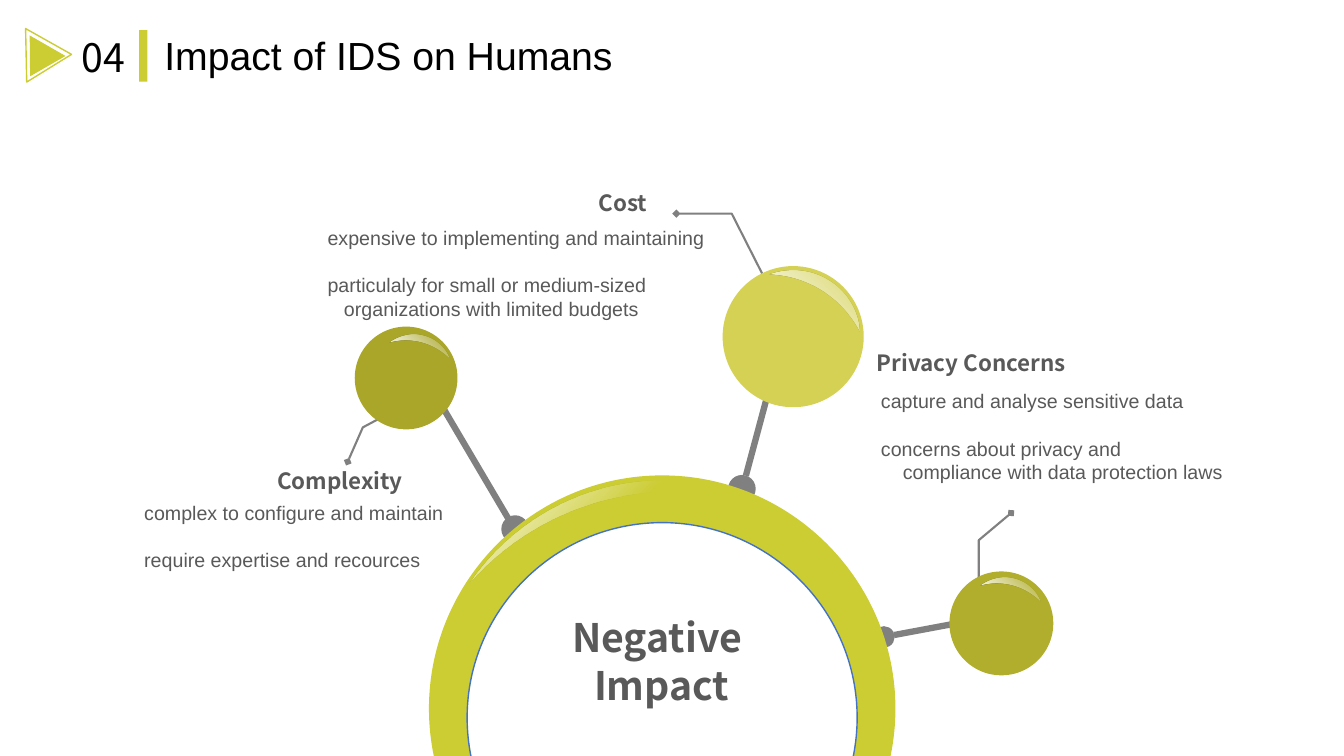
import math

import pptx
import pptx.dml.color
import pptx.enum.dml
import pptx.enum.shapes
import pptx.enum.text
import pptx.oxml
import pptx.oxml.ns
import pptx.util

Pt = pptx.util.Pt
RGBColor = pptx.dml.color.RGBColor
SHAPES = pptx.enum.shapes.MSO_SHAPE
ALIGN = pptx.enum.text.PP_ALIGN
qn = pptx.oxml.ns.qn

LIME = RGBColor(0xCC, 0xCC, 0x33)
PALE_LIME = RGBColor(0xD4, 0xD1, 0x54)
OLIVE = RGBColor(0xB1, 0xAE, 0x2D)
DARK_OLIVE = RGBColor(0xA9, 0xA6, 0x2A)
GRAY = RGBColor(0x80, 0x80, 0x80)
TEXT_GRAY = RGBColor(0x59, 0x59, 0x59)
BLUE = RGBColor(0x44, 0x72, 0xC4)
BLACK = RGBColor(0, 0, 0)
WHITE = RGBColor(0xFF, 0xFF, 0xFF)

SLIDE_WIDTH, SLIDE_HEIGHT = 960, 540
HEADING_FONT, BODY_FONT = "Noto Sans CJK SC", "Arial"
LINEAR = '<a:lin ang="2700000" scaled="0"/>'
RADIAL = '<a:path path="circle"><a:fillToRect t="100000" r="100000"/></a:path>'

# Each outline is a start point, then curves of three points or lines of one.
GLINT = [(17.3, 0),
         [(28.8, 0), (38.9, 7.2), (42.5, 17.3)],
         [(34.6, 9.4), (23.8, 4.3), (11.5, 4.3)],
         [(7.2, 4.3), (3.6, 5), (0, 5.8)],
         [(5, 2.2), (10.8, 0), (17.3, 0)]]
RING_GLINT = [(473.8, 343.4),
              [(506.2, 343.4), (537.1, 352.8), (562.3, 369.4)],
              [(537.8, 357.8), (510.5, 351.4), (481, 351.4)],
              [(423.4, 351.4), (370.8, 376.6), (335.5, 416.9)],
              [(365, 373), (416.2, 343.4), (473.8, 343.4)]]


def set_formats(target, formats):
    for attribute, value in formats.items():
        setattr(target, attribute, value)


def paint(shape, fill=None, line=None, weight=1):
    shape.shadow.inherit = False
    if fill is None:
        shape.fill.background()
    else:
        shape.fill.solid()
        shape.fill.fore_color.rgb = fill
    if line is None:
        shape.line.fill.background()
    else:
        shape.line.color.rgb = line
        shape.line.width = Pt(weight)


def add_preset(slide, preset, box, rotation=0, **colors):
    shape = slide.shapes.add_shape(preset, *map(Pt, box))
    shape.rotation = rotation
    paint(shape, **colors)


def add_outline(slide, start, *segments, close=False, **colors):
    points = [tuple(map(Pt, point)) for segment in segments for point in segment]
    builder = slide.shapes.build_freeform(*map(Pt, start))
    builder.add_line_segments(points, close=close)
    shape = builder.convert_to_shape()
    paint(shape, **colors)
    steps = iter(list(shape._element.iter(qn("a:lnTo"))))
    for segment in segments:
        group = [next(steps) for _ in segment]
        if len(segment) == 3:
            curve = pptx.oxml.parse_xml(f"<a:cubicBezTo {pptx.oxml.ns.nsdecls('a')}/>")
            group[0].addprevious(curve)
            for step in group:
                curve.append(step[0])
                step.getparent().remove(step)
    return shape


def add_dome(slide, center_x, center_y, radius, **colors):
    """Draw a circle cut off at the bottom edge of the slide."""
    drop = SLIDE_HEIGHT - center_y
    inset = radius - math.sqrt(radius ** 2 - drop ** 2)
    pull = 0.55 * radius
    left, right, top = center_x - radius, center_x + radius, center_y - radius
    low, high = SLIDE_HEIGHT - drop / 3, center_y + drop / 3
    add_outline(
        slide, (left + inset, SLIDE_HEIGHT),
        [(left + inset / 3, low), (left, high), (left, center_y)],
        [(left, center_y - pull), (center_x - pull, top), (center_x, top)],
        [(center_x + pull, top), (right, center_y - pull), (right, center_y)],
        [(right, high), (right - inset / 3, low), (right - inset, SLIDE_HEIGHT)],
        **colors)


def add_glint(slide, outline, solid_until, fade_until, direction):
    """Draw a highlight that fades from white to clear."""
    shape = add_outline(slide, *outline, close=True)
    shape._element.spPr.find(qn("a:noFill")).getparent().replace(
        shape._element.spPr.find(qn("a:noFill")),
        pptx.oxml.parse_xml(
            f'<a:gradFill {pptx.oxml.ns.nsdecls("a")} rotWithShape="1"><a:gsLst>'
            f'<a:gs pos="{solid_until * 1000}"><a:srgbClr val="{WHITE}"/></a:gs>'
            f'<a:gs pos="{fade_until * 1000}"><a:srgbClr val="{WHITE}">'
            f'<a:alpha val="0"/></a:srgbClr></a:gs></a:gsLst>{direction}</a:gradFill>'))
    return shape


def add_ball(slide, left, top, size, color, glint_at, glint_scale=1, rotation=0):
    add_preset(slide, SHAPES.OVAL, (left, top, size, size), fill=color)

    def place(point):
        return tuple(at + glint_scale * value for at, value in zip(glint_at, point))

    outline = [place(GLINT[0])] + [list(map(place, curve)) for curve in GLINT[1:]]
    add_glint(slide, outline, 6, 100, RADIAL).rotation = rotation


def add_stem(slide, *ends):
    stem = slide.shapes.add_connector(
        pptx.enum.shapes.MSO_CONNECTOR.STRAIGHT, *map(Pt, ends))
    stem.line.color.rgb = GRAY
    stem.line.width = Pt(4.5)
    stem._element.spPr.append(
        pptx.oxml.parse_xml(f"<a:effectLst {pptx.oxml.ns.nsdecls('a')}/>"))


def add_leader(slide, start, bend, end):
    leader = add_outline(slide, start, [bend], [end], line=GRAY, weight=1.5)
    for tip in ("headEnd", "tailEnd"):
        leader.line._get_or_add_ln().append(pptx.oxml.parse_xml(
            f'<a:{tip} {pptx.oxml.ns.nsdecls("a")} type="diamond"/>'))


def write(holder, box, lines, color, align=ALIGN.LEFT, gaps=(), indents=(), **font):
    """Fill a text holder; gaps and indents are given per line, in points."""
    for side, value in zip(("left", "top", "width", "height"), box):
        setattr(holder, side, Pt(value))
    frame = holder.text_frame
    set_formats(frame, {"word_wrap": True,
                        "auto_size": pptx.enum.text.MSO_AUTO_SIZE.NONE,
                        "vertical_anchor": pptx.enum.text.MSO_ANCHOR.TOP})
    frame.text = "\n".join(lines)
    for index, paragraph in enumerate(frame.paragraphs):
        set_formats(paragraph, {"alignment": align, "space_before": Pt(0)})
        if gaps:
            paragraph.space_before = Pt(gaps[index])
            properties = paragraph._p.get_or_add_pPr()
            properties.set("marL", str(Pt(indents[index])))
            properties.set("indent", "0")
            properties.append(pptx.oxml.parse_xml(
                f"<a:buNone {pptx.oxml.ns.nsdecls('a')}/>"))
        for run in paragraph.runs:
            set_formats(run.font, font)
            run.font.color.rgb = color


def add_label(slide, box, lines, color, size, **formats):
    holder = slide.shapes.add_textbox(*map(Pt, box))
    write(holder, box, lines, color, size=Pt(size), name=HEADING_FONT, **formats)


def main():
    deck = pptx.Presentation()
    deck.slide_width, deck.slide_height = Pt(SLIDE_WIDTH), Pt(SLIDE_HEIGHT)
    slide = deck.slides.add_slide(deck.slide_layouts.get_by_name("Comparison"))
    title, cost, complexity, privacy, spare = slide.placeholders
    spare._element.getparent().remove(spare._element)

    add_leader(slide, (722.2, 366.5), (699.1, 385.9), (699.1, 416.9))
    add_leader(slide, (547.9, 202.3), (522.7, 152.6), (483.1, 152.6))
    add_leader(slide, (279.4, 294.5), (259.2, 305.3), (248.4, 329.8))
    add_stem(slide, 638.6, 453.6, 684.7, 445)
    add_stem(slide, 532.8, 339.8, 549.4, 277.9)
    add_stem(slide, 362.9, 370.1, 313.2, 285.8)
    for left, top, size in ((624.2, 447.8, 14.4), (520.6, 339.8, 18.7),
                            (358.6, 368.6, 18.7)):
        add_preset(slide, SHAPES.OVAL, (left, top, size, size), fill=GRAY, line=GRAY)
    add_dome(slide, 473, 506.2, 166.6, fill=LIME)
    add_dome(slide, 473, 512.6, 139.3, fill=WHITE, line=BLUE)
    add_glint(slide, RING_GLINT, 0, 46, LINEAR)
    add_ball(slide, 678.2, 408.2, 74.2, OLIVE, (700.6, 412.6))
    add_ball(slide, 516.2, 190.1, 100.8, PALE_LIME, (546.5, 196.6), 1.73, 17.2)
    add_ball(slide, 253.4, 233.3, 73.4, DARK_OLIVE, (278.6, 239))

    add_preset(slide, SHAPES.ISOSCELES_TRIANGLE, (15.8, 23, 38.2, 32.4), 88.8, line=LIME)
    add_preset(slide, SHAPES.ISOSCELES_TRIANGLE, (13, 31, 29.5, 25.2), 209.8, fill=LIME)
    add_preset(slide, SHAPES.RECTANGLE, (99.4, 21.6, 5.8, 36.7), fill=LIME)
    add_label(slide, (51.1, 20.2, 54, 41), ["04"], BLACK, 28)
    write(title, (110.2, 18.7, 404.6, 41), ["Impact of IDS on Humans"], BLACK,
          size=Pt(28), name=BODY_FONT)

    add_label(slide, (390.9, 434.9, 163.4, 74.2), ["Negative ", "Impact"], TEXT_GRAY, 28,
              align=ALIGN.CENTER, bold=True)
    for heading, left, top, width in (("Cost", 420.5, 131.8, 57.6),
                                      ("Complexity", 190.8, 329.8, 111.6),
                                      ("Privacy Concerns", 619.2, 246.2, 169.9)):
        add_label(slide, (left, top, width, 25.9), [heading], TEXT_GRAY, 16, bold=True)

    for effects, box, lines, indents in (
            (cost, (226.8, 157.7, 289.4, 74.2),
             ["expensive to implementing and maintaining",
              "particulaly for small or medium-sized",
              "organizations with limited budgets"], (0, 0, 11.7)),
            (complexity, (95.8, 354.2, 237.6, 56.9),
             ["complex to configure and maintain",
              "require expertise and recources"], (0, 0)),
            (privacy, (622.1, 274.3, 289.4, 74.2),
             ["capture and analyse sensitive data",
              "concerns about privacy and",
              "compliance with data protection laws"], (0, 0, 15.6))):
        write(effects, box, lines, TEXT_GRAY, align=ALIGN.JUSTIFY, gaps=(0, 17, 0),
              indents=indents, size=Pt(14), name=BODY_FONT, bold=False)

    deck.save("out.pptx")


if __name__ == "__main__":
    main()
